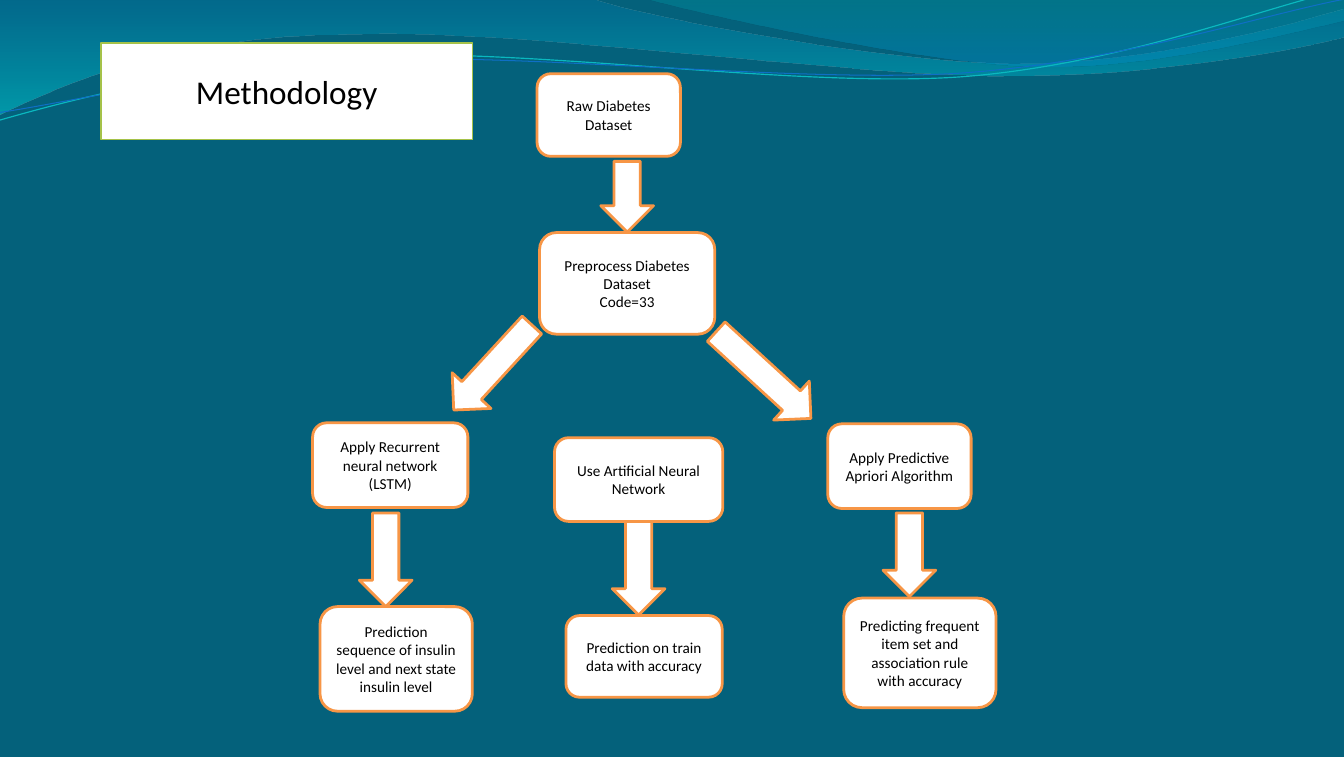
from lxml import etree
from pptx import Presentation, util as u
from pptx.dml.color import RGBColor
from pptx.enum import shapes, text
from pptx.oxml import ns

COLUMNS, ROWS = 135, 76
CELL = u.Inches(0.1)
WHITE, BLACK, ORANGE, GREEN = "FFFFFF", "000000", "F79646", "A5C249"
STRAND_TURN = 357.3

BROAD_WAVE = [
    [(0, 0)],
    [(59.4, -0.1)],
    [(64.2, 1.7), (89.6, 6.4), (102.4, 6.4)],
    [(115.2, 6.4), (129.4, 2.6), (135, 0.9)],
    [(135.1, 3.7)],
    [(132.8, 4.4), (117.4, 7.7), (100.7, 7.6)],
    [(84, 7.6), (51.5, 2.8), (34.7, 3.5)],
    [(17.4, 3.6), (6.2, 8.4), (-0.1, 11.5)],
]
RIGHT_WAVE = [
    [(64.7, -0.1)],
    [(68.8, 1.1), (92.1, 6.3), (103.8, 6.6)],
    [(115.5, 7), (129.8, 3.2), (135, 2.1)],
    [(135, 0)],
]
TEAL_STRAND = [
    [(-0.3, 8.9)],
    [(6.4, 7.3), (21.3, 4.1), (37.4, 4.2)],
    [(53.5, 4.2), (79.7, 9.4), (96.1, 9.1)],
    [(112.3, 8.7), (126.9, 3.6), (135, 2.2)],
]
BLUE_STRAND = [
    [(-0.2, 8.1)],
    [(6.2, 7.5), (22.1, 4.6), (38.2, 4.6)],
    [(54.4, 4.8), (80.5, 9), (96.6, 8.7)],
    [(112.8, 8.3), (127.3, 4.2), (135.3, 3.1)],
]


def color(value):
    return RGBColor.from_string(value)


def grid(*cells):
    return [u.Emu(round(cell * CELL)) for cell in cells]


def inside(box, left, top, width, height):
    return box[0] + left, box[1] + top, width, height


def write(shape, words, size=11, font="Calibri", ink=BLACK):
    frame = shape.text_frame
    frame.word_wrap = True
    frame.auto_size = text.MSO_AUTO_SIZE.NONE
    frame.vertical_anchor = text.MSO_ANCHOR.MIDDLE
    frame.text = words
    for paragraph in frame.paragraphs:
        paragraph.alignment = text.PP_ALIGN.CENTER
        paragraph.font.size = u.Pt(size)
        paragraph.font.name = font
        paragraph.font.color.rgb = color(ink)


def outline(shape, line, width, fill=WHITE):
    shape.fill.solid()
    shape.fill.fore_color.rgb = color(fill)
    shape.line.color.rgb = color(line)
    shape.line.width = u.Pt(width)


def flow_part(slide, kind, box, turn=0):
    part = slide.shapes.add_shape(kind, *grid(*box))
    part.shadow.inherit = False
    part.rotation = turn
    outline(part, ORANGE, 2)
    return part


def step(slide, box, words):
    write(flow_part(slide, shapes.MSO_SHAPE.ROUNDED_RECTANGLE, box), words)


def arrow(slide, box, turn=0):
    flow_part(slide, shapes.MSO_SHAPE.DOWN_ARROW, box, turn)


def curve(slide, box, segments, closed):
    trail = [grid(box[0] + x, box[1] + y) for segment in segments for x, y in segment]
    builder = slide.shapes.build_freeform(*trail[0])
    builder.add_line_segments(trail[1:], close=closed)
    shape = builder.convert_to_shape()
    shape.shadow.inherit = False
    lines = shape._element.spPr.findall(".//" + ns.qn("a:lnTo"))
    for segment in segments[1:]:
        bend, *rest = lines[:len(segment)]
        lines = lines[len(segment):]
        if rest:
            bend.tag = ns.qn("a:cubicBezTo")
            for line in rest:
                bend.append(line[0])
                line.getparent().remove(line)
    return shape


def wave(slide, box, segments, stops):
    shape = curve(slide, box, segments, True)
    shape.line.fill.background()
    shape.fill.gradient()
    shape.fill.gradient_angle = 270
    for stop, (position, tint, _) in zip(shape.fill.gradient_stops, stops):
        stop.position = position
        stop.color.rgb = color(tint)
    tints = shape._element.spPr.iterfind(".//" + ns.qn("a:gs") + "/" + ns.qn("a:srgbClr"))
    for tint, (_, _, opacity) in zip(tints, stops):
        etree.SubElement(tint, ns.qn("a:alpha"), val=str(opacity * 1000))


def strand(slide, box, segments, tint, width):
    shape = curve(slide, box, segments, False)
    shape.rotation = STRAND_TURN
    shape.fill.background()
    shape.line.color.rgb = color(tint)
    shape.line.width = u.Pt(width)


def header(slide, box):
    wave(slide, box, BROAD_WAVE, [(0, "0074A1", 45), (1, "00C6CF", 55)])
    wave(slide, box, RIGHT_WAVE, [(0, "00A1A9", 30), (0.8, "008BBF", 45)])
    strand(slide, box, TEAL_STRAND, "0AB8BF", 0.85)
    strand(slide, box, BLUE_STRAND, "0F6FC6", 0.75)


def heading(slide, box, words):
    title = slide.shapes.title
    title.left, title.top, title.width, title.height = grid(*box)
    outline(title, GREEN, 1)
    write(title, words, size=24)
    slide.shapes._spTree.append(title._element)


def preparation(slide, box):
    step(slide, inside(box, 0, 0, 14.4, 8.3), "Raw Diabetes\nDataset")
    step(slide, inside(box, 0.25, 15.95, 17.6, 10.2), "Preprocess Diabetes Dataset\nCode=33")
    arrow(slide, inside(box, 6.4, 8.8, 5.3, 7.1))
    arrow(slide, inside(box, -7.1, 23.7, 5.3, 11.6), turn=42.6)
    arrow(slide, inside(box, 20.1, 23.8, 5.3, 12.9), turn=312.5)


def branch(slide, box, method, method_size, link, result, result_box):
    step(slide, inside(box, 0, 0, *method_size), method)
    step(slide, inside(box, *result_box), result)
    arrow(slide, inside(box, *link))


def main():
    deck = Presentation()
    deck.slide_width, deck.slide_height = grid(COLUMNS, ROWS)
    slide = deck.slides.add_slide(deck.slide_layouts[5])
    slide.background.fill.solid()
    slide.background.fill.fore_color.rgb = color("04617B")

    header(slide, (0, 0))
    preparation(slide, (53.95, 7.4))
    branch(slide, (31.4, 42.45),
           "Apply Recurrent neural network (LSTM)", (15.6, 8.5), (4.7, 9.05, 5.3, 9.4),
           "Prediction sequence of insulin level and next state insulin level",
           (0.75, 18.45, 15.3, 10.5))
    branch(slide, (55.7, 43.95),
           "Use Artificial Neural Network", (16.9, 8.4), (5.8, 8.4, 5.3, 9.4),
           "Prediction on train data with accuracy", (1.15, 17.85, 15.7, 8.2))
    branch(slide, (83.15, 42.55),
           "Apply Predictive Apriori Algorithm", (14.4, 8.5), (5.55, 8.95, 5.3, 8.4),
           "Predicting frequent item set and association rule with accuracy",
           (1.6, 17.5, 15.3, 11))
    heading(slide, (10.15, 4.3, 37.3, 9.7), "Methodology")
    deck.save("out.pptx")


if __name__ == "__main__":
    main()
